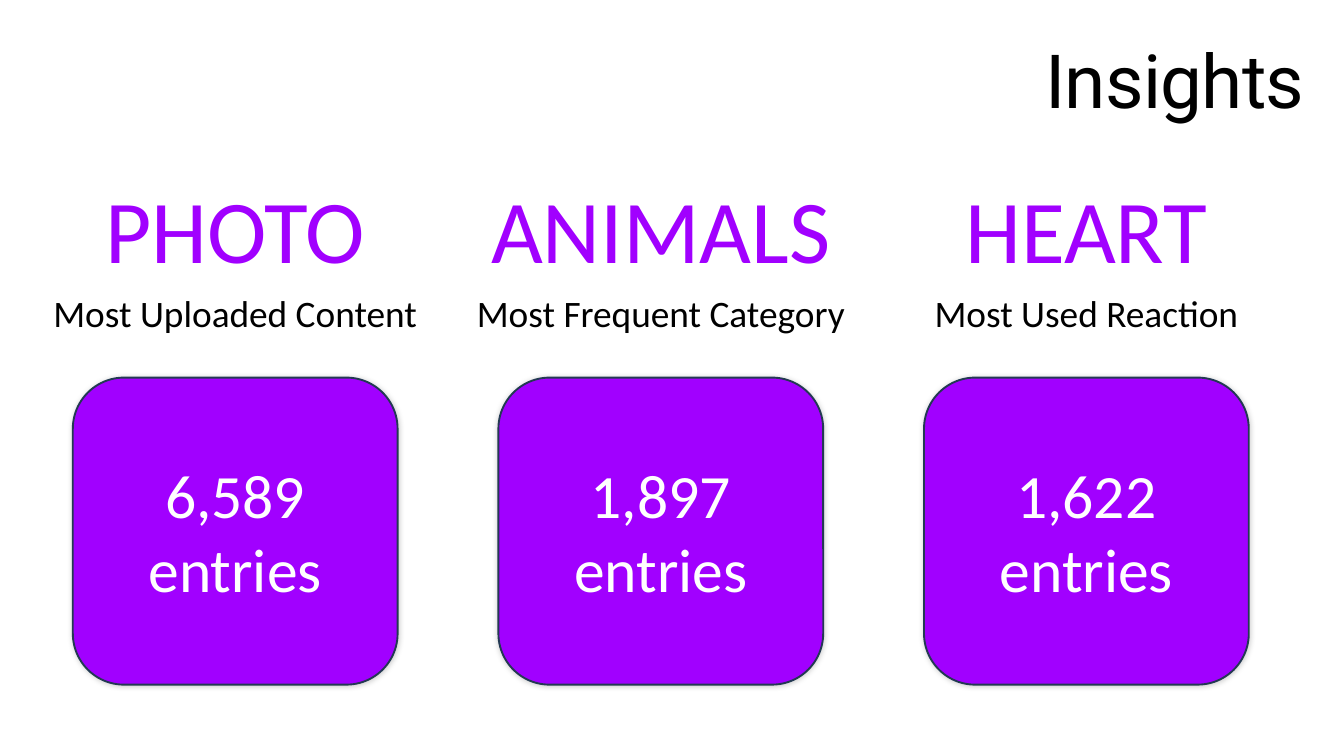
from lxml import etree
from pptx import Presentation
from pptx.dml.color import RGBColor
from pptx.enum.shapes import MSO_SHAPE
from pptx.enum.text import MSO_ANCHOR, PP_ALIGN
from pptx.oxml.ns import qn
from pptx.util import Pt

ROUNDED = MSO_SHAPE.ROUNDED_RECTANGLE
LEFT, CENTER = PP_ALIGN.LEFT, PP_ALIGN.CENTER
TOP, MIDDLE = MSO_ANCHOR.TOP, MSO_ANCHOR.MIDDLE
TITLE_ONLY = 5

THEME = {
    "purple": RGBColor.from_string("A100FF"),
    "outline": RGBColor.from_string("233953"),
    "black": RGBColor.from_string("000000"),
    "white": RGBColor.from_string("FFFFFF"),
    "title_font": "Roboto",
    "body_font": "Calibri",
    "title_size": 80,
    "heading_size": 96,
    "caption_size": 40,
    "figure_size": 66,
}


def write_text(shape, text, *, size, color, font=THEME["body_font"], align=CENTER,
               anchor=TOP, wrap=True, margin=None, line_spacing=None, tracking=None):
    frame = shape.text_frame
    frame.text = text
    frame.word_wrap = wrap
    frame.vertical_anchor = anchor
    if margin is not None:
        frame.margin_left = frame.margin_right = Pt(margin)
        frame.margin_top = frame.margin_bottom = Pt(margin)
    for paragraph in frame.paragraphs:
        paragraph.alignment = align
        if line_spacing is not None:
            paragraph.line_spacing = Pt(line_spacing)
        for run in paragraph.runs:
            run.font.name = font
            run.font.size = Pt(size)
            run.font.color.rgb = color
            if tracking is not None:
                run._r.get_or_add_rPr().set("spc", str(round(tracking * 100)))


def add_soft_shadow(shape, blur, direction, opacity):
    shape.shadow.inherit = False
    effects = shape._element.spPr.find(qn("a:effectLst"))
    shadow = etree.SubElement(effects, qn("a:outerShdw"), blurRad=str(Pt(blur)),
                              dist="0", dir=str(direction * 60000), rotWithShape="0")
    color = etree.SubElement(shadow, qn("a:srgbClr"), val=str(THEME["black"]))
    etree.SubElement(color, qn("a:alpha"), val=str(opacity * 1000))


presentation = Presentation()
presentation.slide_width, presentation.slide_height = Pt(1440), Pt(810)
slide = presentation.slides.add_slide(presentation.slide_layouts[TITLE_ONLY])

# Title
title = slide.shapes.title
title.left, title.top, title.width, title.height = Pt(1120), Pt(36.7), Pt(320), Pt(97)
write_text(title, "Insights", size=THEME["title_size"], color=THEME["black"],
           font=THEME["title_font"], align=LEFT, margin=0, line_spacing=96, tracking=-0.8)

# Columns: heading and its width, caption and its width, number of entries
INSIGHTS = [
    ("PHOTO", 295, "Most Uploaded Content", 408, "6,589"),
    ("ANIMALS", 382, "Most Frequent Category", 413, "1,897"),
    ("HEART", 276, "Most Used Reaction", 343, "1,622"),
]
CARD_LEFT, CARD_TOP, CARD_WIDTH, CARD_HEIGHT = 78, 404.6, 348, 329
COLUMN_PITCH = 456

for column, (heading, heading_width, caption, caption_width, entries) in enumerate(INSIGHTS):
    card_left = CARD_LEFT + column * COLUMN_PITCH
    middle = card_left + CARD_WIDTH / 2

    # Heading and caption
    for text, width, top, height, size, color in (
        (heading, heading_width, 183, 124, THEME["heading_size"], THEME["purple"]),
        (caption, caption_width, 307, 55.4, THEME["caption_size"], THEME["black"]),
    ):
        label = slide.shapes.add_textbox(Pt(middle - width / 2), Pt(top), Pt(width), Pt(height))
        write_text(label, text, size=size, color=color, wrap=False)

    # Card with the number of entries
    card = slide.shapes.add_shape(ROUNDED, Pt(card_left), Pt(CARD_TOP),
                                  Pt(CARD_WIDTH), Pt(CARD_HEIGHT))
    card.fill.solid()
    card.fill.fore_color.rgb = THEME["purple"]
    card.line.color.rgb = THEME["outline"]
    card.line.width = Pt(2)
    add_soft_shadow(card, blur=6, direction=315, opacity=20)
    write_text(card, f"{entries}\nentries", size=THEME["figure_size"],
               color=THEME["white"], anchor=MIDDLE)

presentation.save("out.pptx")
